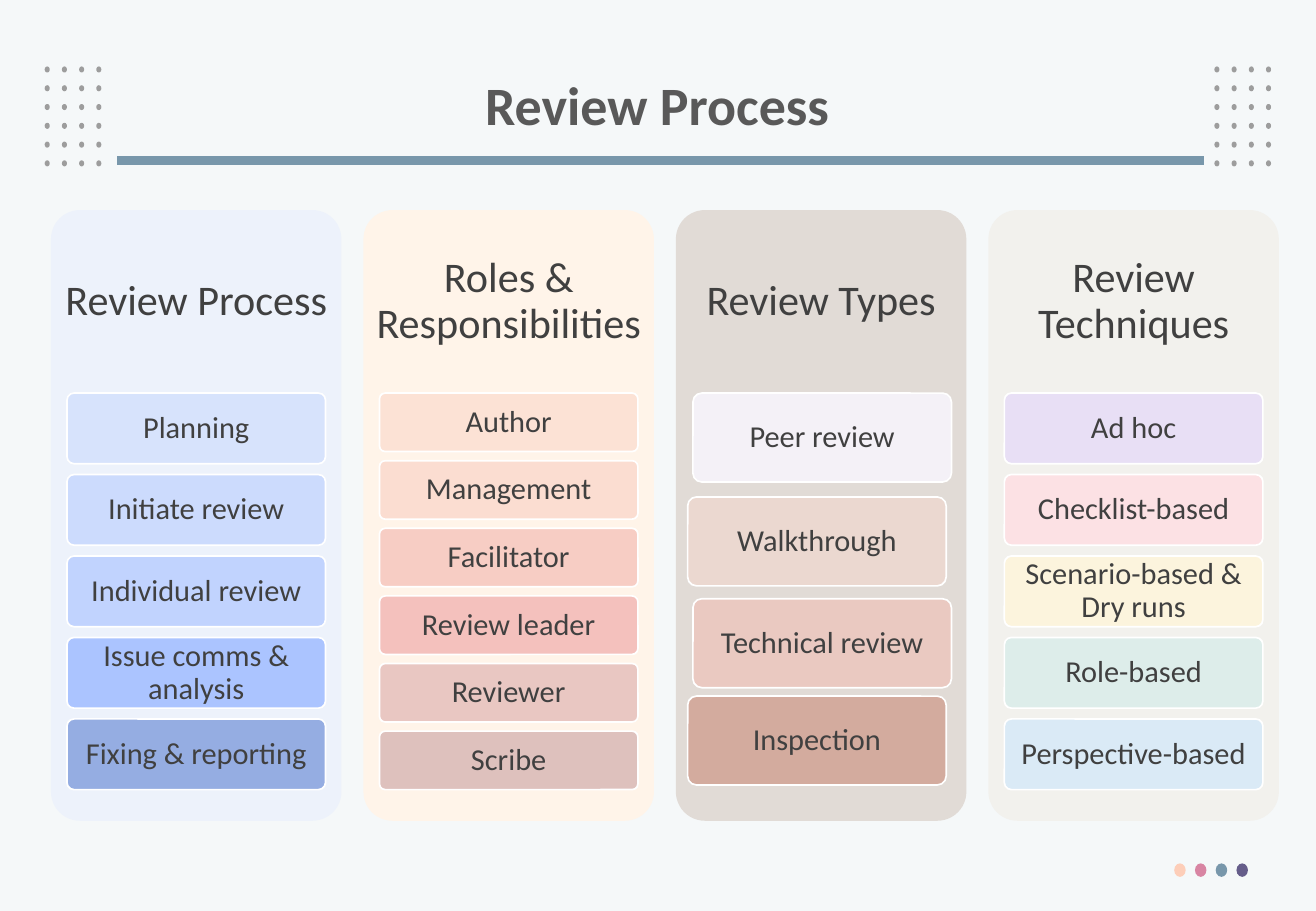
from dataclasses import dataclass
from lxml.etree import SubElement
from pptx import Presentation
from pptx.dml.color import RGBColor
from pptx.enum.shapes import MSO_CONNECTOR, MSO_SHAPE
from pptx.enum.text import MSO_ANCHOR, PP_ALIGN
from pptx.oxml.ns import qn
from pptx.util import Pt


@dataclass
class Theme:
    font: str = "Calibri"
    back: str = "F5F8F9"
    title: str = "595959"
    text: str = "404040"
    edge: str = "FFFFFF"
    rule: str = "7897AB"
    dot: str = "9D9D9D"
    marks: tuple = ("FDCEB9", "D885A3", "7897AB", "655D8A")
    title_size: int = 32
    head_size: int = 25
    card_size: int = 18


theme = Theme()
deck = Presentation()
deck.slide_width, deck.slide_height = Pt(780), Pt(540)
slide = deck.slides.add_slide(deck.slide_layouts[5])
slide.background.fill.solid()
slide.background.fill.fore_color.rgb = RGBColor.from_string(theme.back)


def draw(kind, box, fill, edge=None):
    shape = slide.shapes.add_shape(kind, *map(Pt, box))
    shape.shadow.inherit = False
    shape.fill.solid()
    shape.fill.fore_color.rgb = RGBColor.from_string(fill)
    if kind == MSO_SHAPE.ROUNDED_RECTANGLE:
        shape.adjustments[0] = 0.1
    if edge:
        shape.line.color.rgb = RGBColor.from_string(edge)
        shape.line.width = Pt(1)
    else:
        shape.line.fill.background()
    return shape


def write(shape, text, size, color, pad, bold=False):
    frame = shape.text_frame
    frame.word_wrap = True
    frame.vertical_anchor = MSO_ANCHOR.MIDDLE
    frame.margin_left = frame.margin_right = Pt(pad[0])
    frame.margin_top = frame.margin_bottom = Pt(pad[1])
    para = frame.paragraphs[0]
    para.alignment = PP_ALIGN.CENTER
    para.line_spacing = 0.9
    run = para.add_run()
    run.text = text
    run.font.name = theme.font
    run.font.size = Pt(size)
    run.font.bold = bold
    run.font.color.rgb = RGBColor.from_string(color)


# Dot grids in the top corners
for left in (26.5, 719.8):
    for row in range(6):
        for col in range(4):
            box = (left + 10.2 * col, 39.4 + 11.13 * row, 3, 3.6)
            draw(MSO_SHAPE.OVAL, box, theme.dot)

# Rule under the title
rule = slide.shapes.add_connector(
    MSO_CONNECTOR.STRAIGHT, Pt(713.5), Pt(95), Pt(69.2), Pt(95))
rule.line.color.rgb = RGBColor.from_string(theme.rule)
rule.line.width = Pt(5.25)
SubElement(rule.line._get_or_add_ln().getparent(), qn("a:effectLst"))

# Coloured marks at the bottom right
for i, color in enumerate(theme.marks):
    draw(MSO_SHAPE.OVAL, (696 + 12.3 * i, 511.8, 6.8, 8), color)

# Title
title = slide.shapes.title
title.left, title.top, title.width, title.height = map(Pt, (53.3, 28.8, 672.5, 70.6))
write(title, "Review Process", theme.title_size, theme.title, (7.2, 3.6), True)

# Columns: heading, panel fill, card height, side padding, card shifts (x, y), cards
even = [(0, 0)] * 6
loose = [(0.6, 0), (-2.5, 1.7), (0.6, 2.2), (-2.5, 0)]
columns = [
    ("Review Process", "EDF2FB", 41.9, 0, even, [
        ("Planning", "D7E3FC"), ("Initiate review", "CCDBFD"),
        ("Individual review", "C1D3FE"), ("Issue comms & analysis", "ABC4FF"),
        ("Fixing & reporting", "95ADE2")]),
    ("Roles & Responsibilities", "FFF4E9", 34.7, 3.6, even, [
        ("Author", "FCE2D5"), ("Management", "FBDDD1"),
        ("Facilitator", "F7CDC4"), ("Review leader", "F4C1BD"),
        ("Reviewer", "E9C7C2"), ("Scribe", "DEC1BD")]),
    ("Review Types", "E1DBD6", 52.7, 3.6, loose, [
        ("Peer review", "F4F1F7"), ("Walkthrough", "EBD8D0"),
        ("Technical review", "EAC9C1"), ("Inspection", "D3AB9E")]),
    ("Review Techniques", "F2F1ED", 41.9, 3.6, even, [
        ("Ad hoc", "E8DFF5"), ("Checklist-based", "FCE1E4"),
        ("Scenario-based & Dry runs", "FCF4DD"), ("Role-based", "DDEDEA"),
        ("Perspective-based", "DAEAF6")]),
]
top, first = 124.5, 233
for i, (name, fill, height, pad, shifts, cards) in enumerate(columns):
    left = 30.2 + 185.2 * i
    draw(MSO_SHAPE.ROUNDED_RECTANGLE, (left, top, 172.2, 362), fill)
    head = slide.shapes.add_textbox(*map(Pt, (left, top, 172.2, 108.6)))
    write(head, name, theme.head_size, theme.text, (7.2, 7.2))

    # Cards share the space down to the last one
    last = 412.6 if shifts is loose else 468.1 - height
    step = (last - first) / (len(cards) - 1)
    for j, ((label, color), (dx, dy)) in enumerate(zip(cards, shifts)):
        box = (left + 9.5 + dx, first + step * j + dy, 153.2, height)
        card = draw(MSO_SHAPE.ROUNDED_RECTANGLE, box, color, theme.edge)
        write(card, label, theme.card_size, theme.text, (pad, 2.7))

deck.save("out.pptx")
